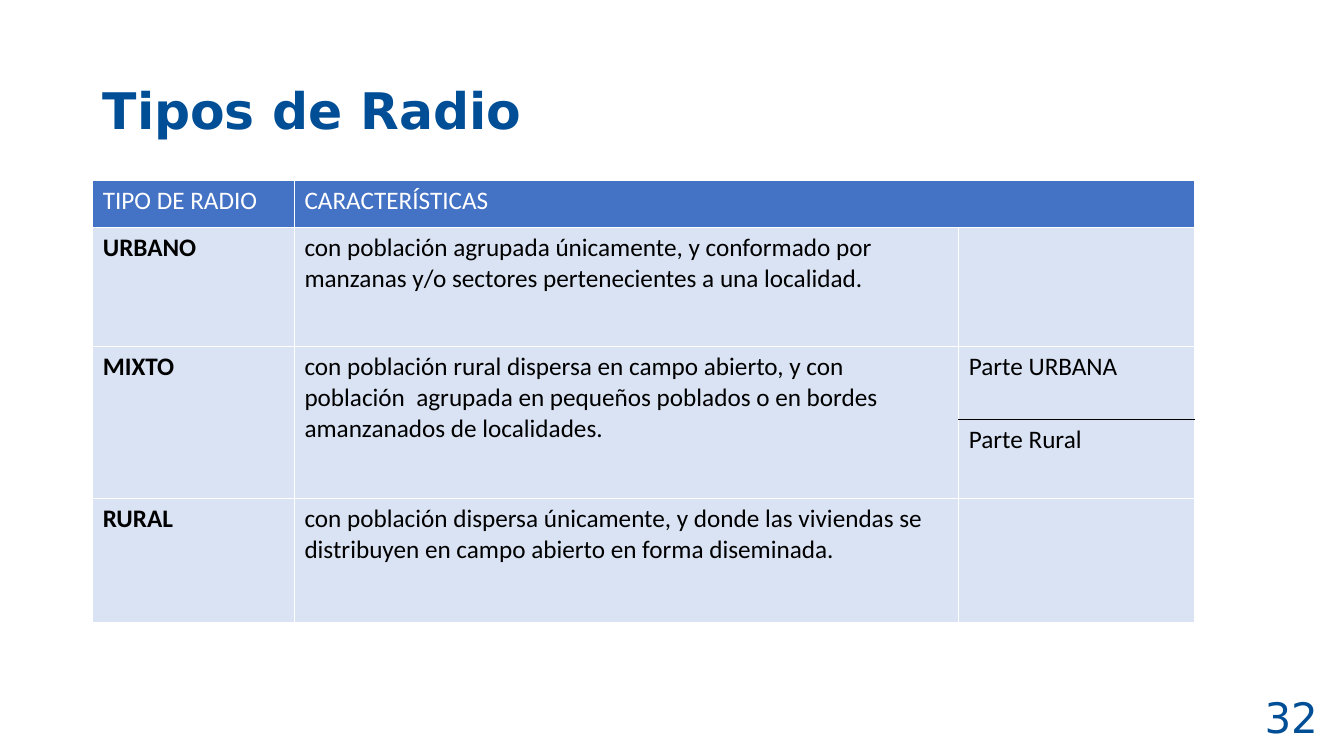
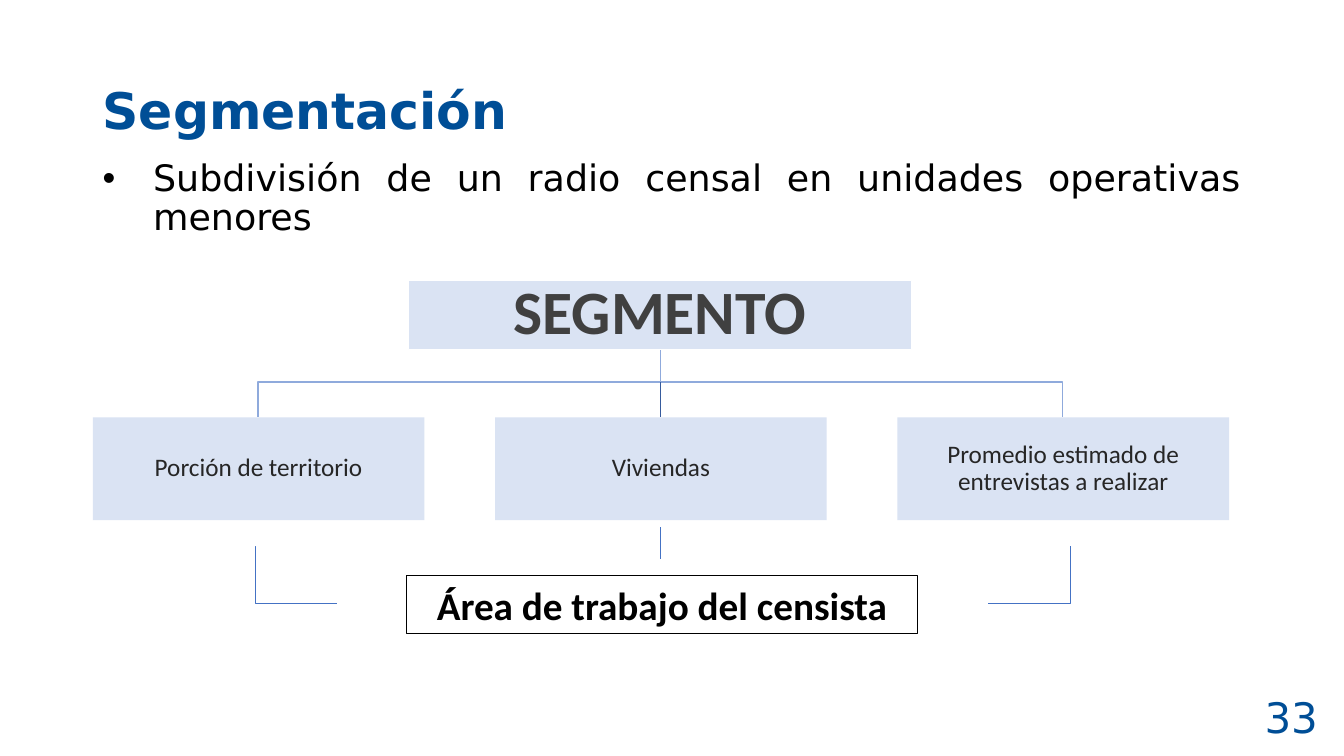
from dataclasses import dataclass

from lxml.etree import SubElement
from pptx import Presentation
from pptx.dml.color import RGBColor
from pptx.enum.shapes import MSO_CONNECTOR as Connector, MSO_SHAPE as Preset
from pptx.enum.text import MSO_ANCHOR as Anchor, PP_ALIGN as Align
from pptx.oxml.ns import qn
from pptx.util import Pt

PX = 9144


@dataclass(frozen=True)
class Theme:
    heading_font: str = "DejaVu Sans"
    body_font: str = "Calibri"
    title: str = "004E96"
    black: str = "000000"
    white: str = "FFFFFF"
    header: str = "4472C4"
    panel: str = "DAE3F3"
    branch: str = "8FAADC"
    trunk: str = "365B9D"
    root_text: str = "404040"
    leaf_text: str = "262626"
    title_size: int = 36
    number_size: int = 30
    bullet_size: int = 26
    root_size: int = 44
    area_size: int = 28
    body_size: int = 18


THEME = Theme()


def rgb(value):
    return RGBColor.from_string(value)


def px(*lengths):
    return [length * PX for length in lengths]


def write(frame, text, size=THEME.body_size, color=THEME.black, font=THEME.body_font,
          bold=False, align=Align.LEFT, anchor=Anchor.TOP, spacing=1.0, inset=None, bullet_indent=0):
    frame.word_wrap = True
    frame.vertical_anchor = anchor
    if inset is not None:
        frame.margin_left = frame.margin_right = inset * PX
        frame.margin_top = frame.margin_bottom = inset * PX
    paragraph = frame.paragraphs[0]
    paragraph.text = text
    paragraph.alignment = align
    paragraph.line_spacing = spacing
    if bullet_indent:
        properties = paragraph._p.get_or_add_pPr()
        properties.set("marL", str(bullet_indent * PX))
        properties.set("indent", str(-bullet_indent * PX))
        SubElement(properties, qn("a:buFont"), typeface="Arial")
        SubElement(properties, qn("a:buChar"), char="•")
    run_font = paragraph.runs[0].font
    run_font.name = font
    run_font.size = Pt(size)
    run_font.bold = bold
    run_font.color.rgb = rgb(color)


def add_text(slide, text, box, **style):
    shape = slide.shapes.add_textbox(*px(*box))
    write(shape.text_frame, text, **style)


def add_box(slide, text, box, fill=THEME.panel, line=None, width=1, **style):
    shape = slide.shapes.add_shape(Preset.RECTANGLE, *px(*box))
    shape.shadow.inherit = False
    shape.fill.solid()
    shape.fill.fore_color.rgb = rgb(fill)
    if line:
        shape.line.color.rgb = rgb(line)
        shape.line.width = Pt(width)
    else:
        shape.line.fill.background()
    write(shape.text_frame, text, align=Align.CENTER, **style)


def add_line(slide, start, end, color=THEME.header, width=0.5, bend=None):
    kind = Connector.STRAIGHT if bend is None else Connector.ELBOW
    connector = slide.shapes.add_connector(kind, *px(*start, *end))
    connector.line.color.rgb = rgb(color)
    connector.line.width = Pt(width)
    properties = connector._element.spPr
    SubElement(properties, qn("a:effectLst"))
    if bend is not None:
        adjustments = properties.find(qn("a:prstGeom")).get_or_add_avLst()
        SubElement(adjustments, qn("a:gd"), name="adj1", fmla=f"val {bend}")


def add_branch(slide, points, color=THEME.branch):
    builder = slide.shapes.build_freeform(*points[0], scale=PX)
    builder.add_line_segments(points[1:], close=False)
    shape = builder.convert_to_shape()
    shape.shadow.inherit = False
    shape.fill.background()
    shape.line.color.rgb = rgb(color)
    shape.line.width = Pt(1)


def style_cell(cell, fill, **borders):
    properties = cell._tc.get_or_add_tcPr()
    for side in "LRTB":
        color, width = borders.get(side, (THEME.white, 1))
        line = SubElement(properties, qn(f"a:ln{side}"), w=str(Pt(width)))
        SubElement(SubElement(line, qn("a:solidFill")), qn("a:srgbClr"), val=color)
    cell.fill.solid()
    cell.fill.fore_color.rgb = rgb(fill)


def add_table(slide, left, top, columns, heights, rows, merges, borders):
    table = slide.shapes.add_table(len(heights), len(columns),
                                   *px(left, top, sum(columns), sum(heights))).table
    table.first_row = table.horz_banding = False
    for column, width in zip(table.columns, columns):
        column.width = width * PX
    for row, height in zip(table.rows, heights):
        row.height = height * PX
    for first, last in merges:
        table.cell(*first).merge(table.cell(*last))
    for r, texts in enumerate(rows):
        for c, text in enumerate(texts):
            cell = table.cell(r, c)
            header = r == 0
            style_cell(cell, THEME.header if header else THEME.panel, **borders.get((r, c), {}))
            if text:
                write(cell.text_frame, text, color=THEME.white if header else THEME.black,
                      bold=c == 0 and not header)


def add_slide(presentation, title, number):
    slide = presentation.slides.add_slide(presentation.slide_layouts[6])
    add_text(slide, title, (92, 40, 1150, 145), size=THEME.title_size, color=THEME.title,
             font=THEME.heading_font, bold=True, anchor=Anchor.MIDDLE, spacing=0.9)
    add_text(slide, str(number), (1242, 690, 75, 43), size=THEME.number_size, color=THEME.title,
             font=THEME.heading_font, align=Align.RIGHT, anchor=Anchor.MIDDLE)
    return slide


def build_radio_types(presentation):
    slide = add_slide(presentation, "Tipos de Radio", 32)
    rows = [
        ("TIPO DE RADIO", "CARACTERÍSTICAS", ""),
        ("URBANO", "con población agrupada únicamente, y conformado por manzanas y/o sectores "
                   "pertenecientes a una localidad.", ""),
        ("MIXTO", "con población rural dispersa en campo abierto, y con población  agrupada en "
                  "pequeños poblados o en bordes amanzanados de localidades.", "Parte URBANA"),
        ("", "", "Parte Rural"),
        ("RURAL", "con población dispersa únicamente, y donde las viviendas se distribuyen en "
                  "campo abierto en forma diseminada.", ""),
    ]
    divider = (THEME.black, 1)
    add_table(slide, 92, 179, (200, 659, 234), (47, 118, 72, 79, 123), rows,
              merges=[((0, 1), (0, 2)), ((2, 0), (3, 0)), ((2, 1), (3, 1))],
              borders={(2, 2): {"B": divider}, (3, 2): {"T": divider}})


def build_segmentation(presentation):
    slide = add_slide(presentation, "Segmentación", 33)
    add_text(slide, "Subdivisión de un radio censal en unidades operativas menores",
             (92, 154, 1150, 100), size=THEME.bullet_size, font=THEME.heading_font,
             align=Align.JUSTIFY, spacing=0.9, bullet_indent=50)

    center, root_bottom, fork, leaf_top = 655, 347, 379, 414
    leaf_width, leaf_height, step = 329, 102, 399
    for side in (1, -1):
        leaf_center = center + side * step
        add_branch(slide, [(center, root_bottom), (center, fork),
                           (leaf_center, fork), (leaf_center, leaf_top)])
    add_line(slide, (center, root_bottom), (center, fork), THEME.branch, 1)
    add_line(slide, (center, fork), (center, leaf_top), THEME.trunk, 1)

    add_box(slide, "SEGMENTO", (405, 278, 499, 69), line=THEME.white, size=THEME.root_size,
            color=THEME.root_text, bold=True, anchor=Anchor.MIDDLE, spacing=0.9, inset=3)
    leaves = ("Porción de territorio", "Viviendas", "Promedio estimado de entrevistas a realizar")
    for index, text in enumerate(leaves):
        add_box(slide, text, (92 + index * step, leaf_top, leaf_width, leaf_height),
                color=THEME.leaf_text, anchor=Anchor.MIDDLE, spacing=0.9, inset=1)

    add_box(slide, "Área de trabajo del censista", (403, 571, 507, 57), fill=THEME.white,
            line=THEME.black, width=0.25, size=THEME.area_size, bold=True, anchor=Anchor.BOTTOM)
    for start, end in ((253, 334), (1062, 980)):
        add_line(slide, (start, 542), (end, 599), bend=500)
    add_line(slide, (center, 523), (center, 555))


def main():
    presentation = Presentation()
    presentation.slide_width, presentation.slide_height = px(1333, 750)
    build_radio_types(presentation)
    build_segmentation(presentation)
    presentation.save("out.pptx")


if __name__ == "__main__":
    main()
